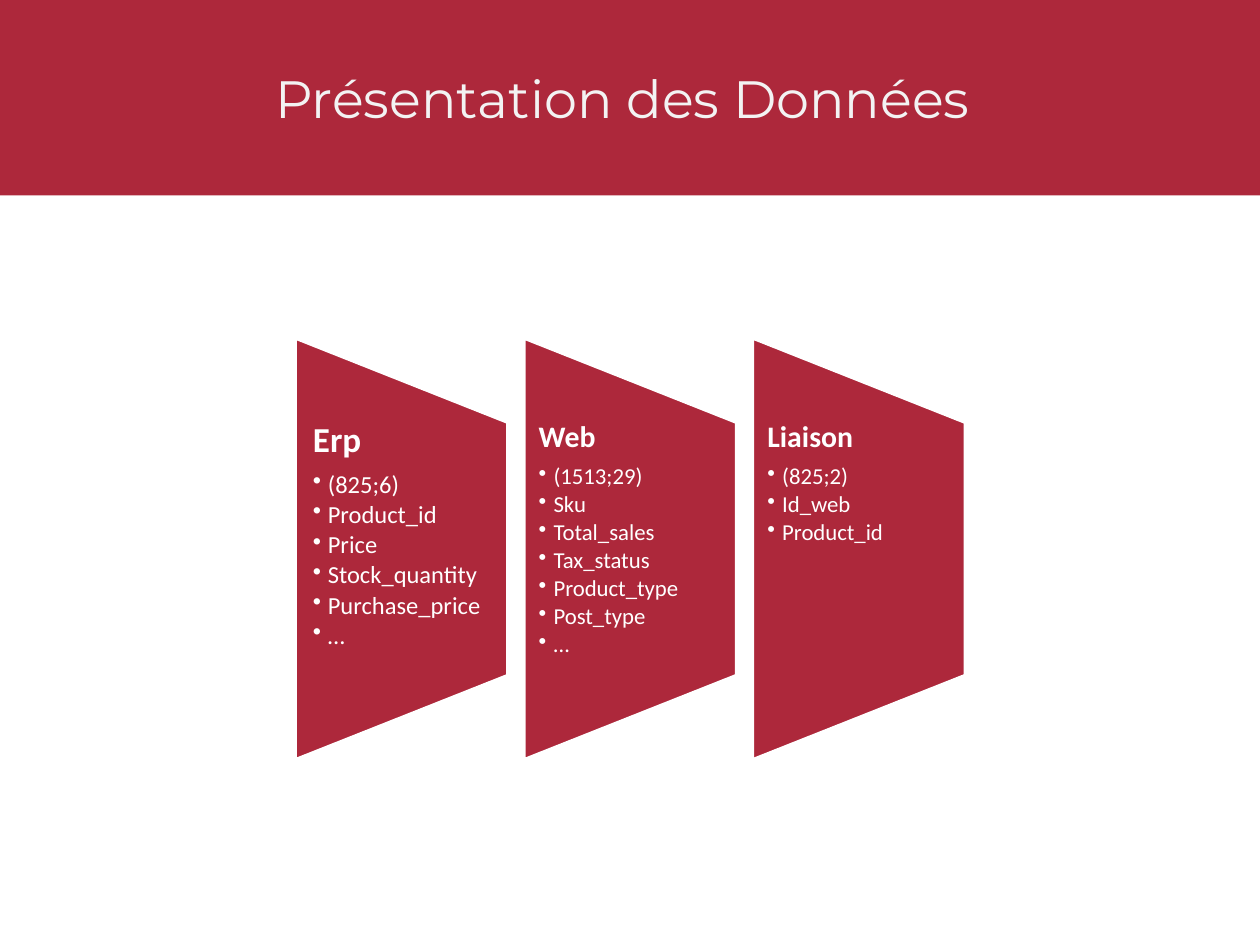
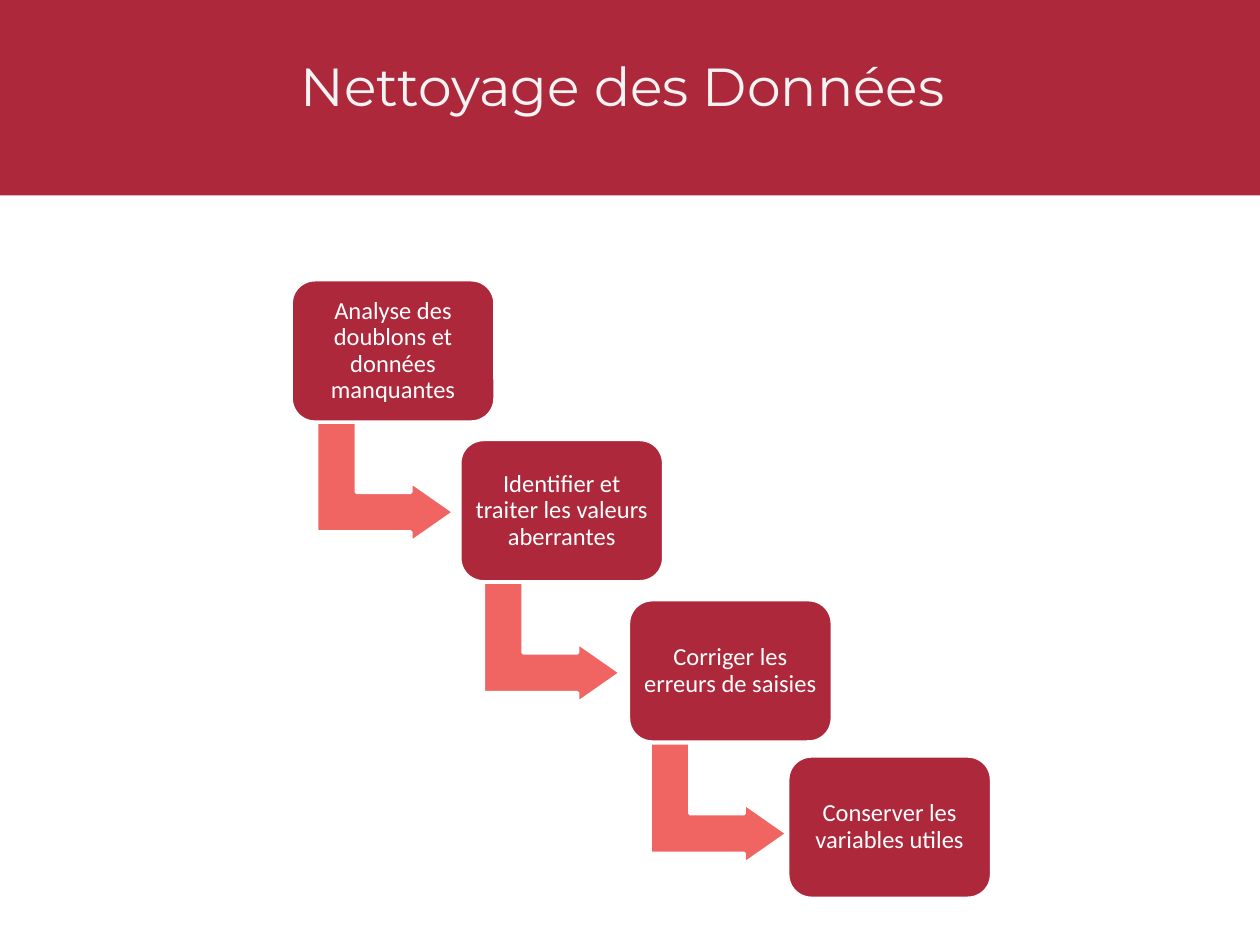
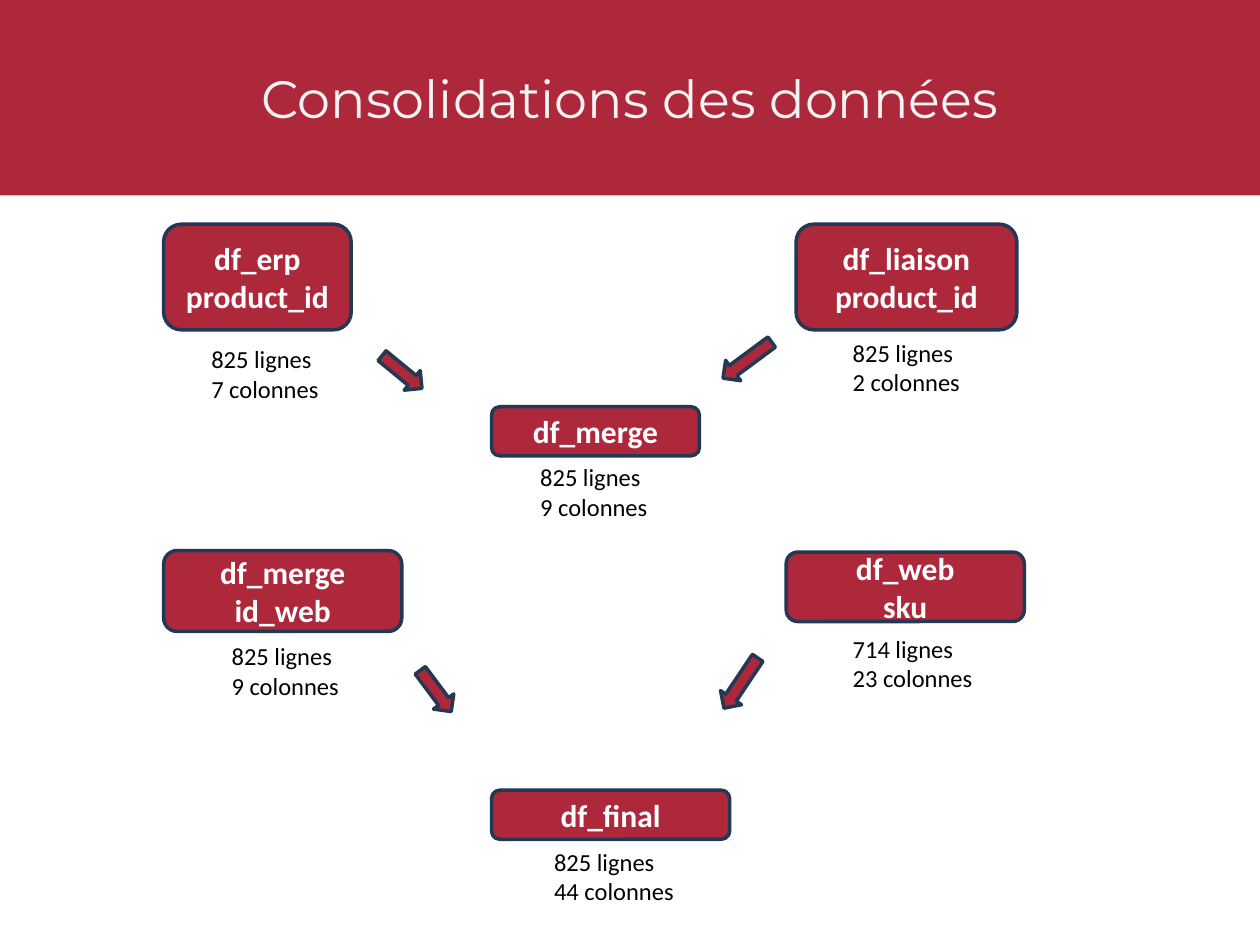
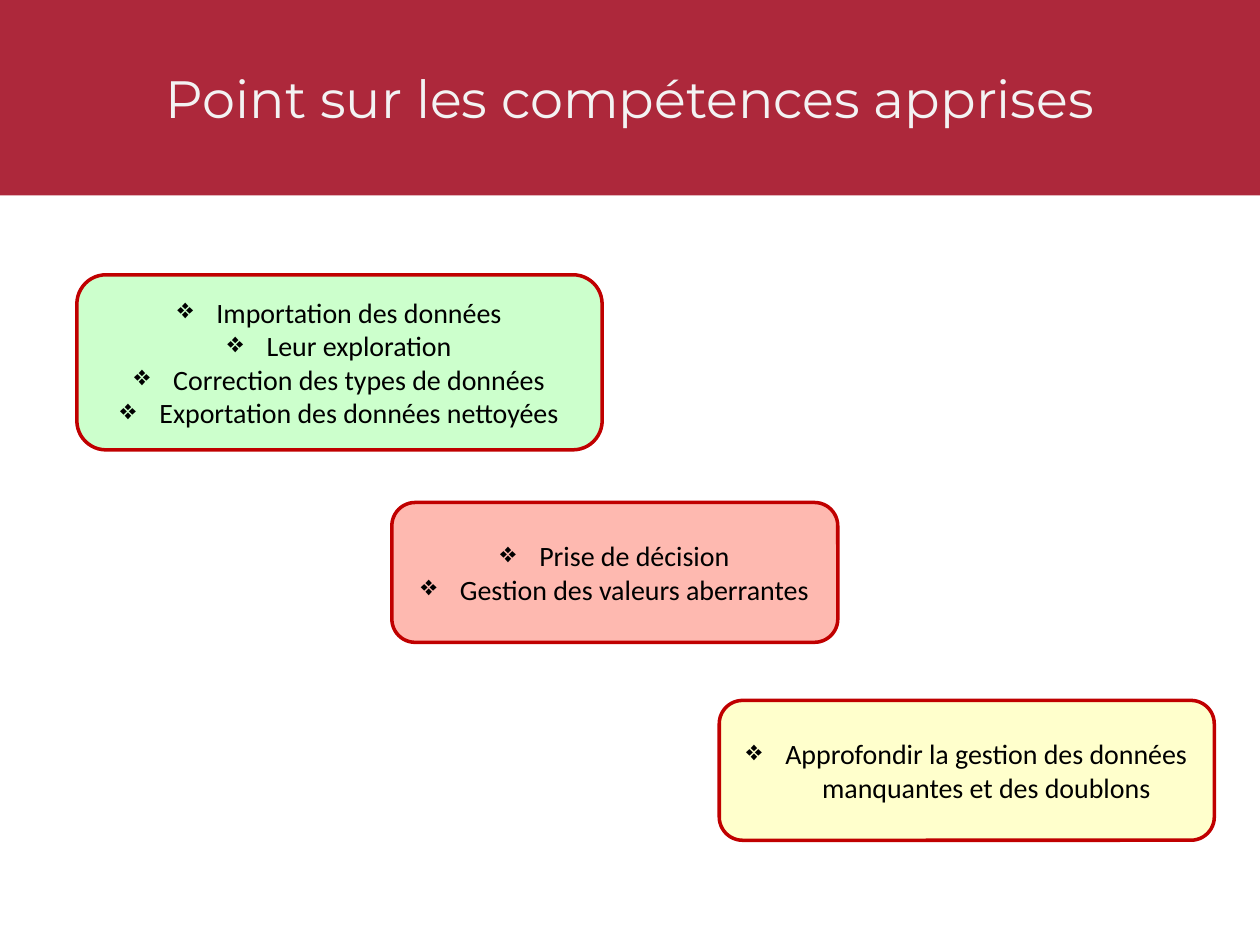
from lxml import etree
from pptx import Presentation
from pptx.dml.color import RGBColor
from pptx.enum.shapes import MSO_SHAPE
from pptx.enum.text import MSO_ANCHOR, PP_ALIGN
from pptx.oxml.ns import qn
from pptx.util import Cm, Pt

RECTANGLE = MSO_SHAPE.RECTANGLE
ROUNDED = MSO_SHAPE.ROUNDED_RECTANGLE
TRAPEZOID = MSO_SHAPE.FLOWCHART_MANUAL_OPERATION
BENT_ARROW = MSO_SHAPE.BENT_UP_ARROW
DOWN_ARROW = MSO_SHAPE.DOWN_ARROW
MIDDLE, TOP = MSO_ANCHOR.MIDDLE, MSO_ANCHOR.TOP
CENTER, LEFT = PP_ALIGN.CENTER, PP_ALIGN.LEFT

COLORS = {
    "crimson": "AD283B",
    "coral": "F06561",
    "navy": "233953",
    "red": "C00000",
    "green": "CCFFCC",
    "pink": "FEB9B0",
    "yellow": "FFFFCC",
    "white": "FFFFFF",
    "title": "F3F3F3",
    "black": "000000",
}
SLIDE_WIDTH, SLIDE_HEIGHT = 25.4, 19.05
BAND_HEIGHT = 3.94


def add_panel(slide, kind, box, fill, line=None, rotation=0):
    """Add a flat preset shape; box is left, top, width, height in cm."""
    panel = slide.shapes.add_shape(kind, *[Cm(length) for length in box])
    panel.shadow.inherit = False
    panel.rotation = rotation
    panel.fill.solid()
    panel.fill.fore_color.rgb = RGBColor.from_string(COLORS[fill])
    if line:
        panel.line.color.rgb = RGBColor.from_string(COLORS[line])
        panel.line.width = Pt(2)
    else:
        panel.line.fill.background()
    return panel


def write(shape, lines, size, color, font="Calibri", align=CENTER, anchor=MIDDLE,
          insets=(0.25, 0.13, 0.25, 0.13), bold=False, bullet=None, indent=0):
    """Fill a shape with one paragraph per line; insets are left, top, right, bottom in cm."""
    frame = shape.text_frame
    frame.text = "\n".join(lines)
    frame.word_wrap = True
    frame.vertical_anchor = anchor
    (frame.margin_left, frame.margin_top,
     frame.margin_right, frame.margin_bottom) = [Cm(inset) for inset in insets]
    for paragraph in frame.paragraphs:
        paragraph.alignment = align
        if bullet:
            properties = paragraph._p.get_or_add_pPr()
            properties.set("marL", str(Cm(indent)))
            properties.set("indent", str(-Cm(indent)))
            etree.SubElement(properties, qn("a:buChar")).set("char", bullet)
        for run in paragraph.runs:
            run.font.name = font
            run.font.size = Pt(size)
            run.font.bold = bold
            run.font.color.rgb = RGBColor.from_string(COLORS[color])
    return frame.paragraphs


prs = Presentation()
prs.slide_width = Cm(SLIDE_WIDTH)
prs.slide_height = Cm(SLIDE_HEIGHT)

# Title bands: text, size, right inset, bottom inset
titles = [
    ("Présentation des Données", 30, 0.55, 0.13),
    ("Nettoyage des Données", 30.6, 0.55, 0.63),
    ("Consolidations des données", 30, 0.25, 0.13),
    ("Point sur les compétences apprises", 30, 0.25, 0.13),
]
slides = []
for title, size, right, bottom in titles:
    slide = prs.slides.add_slide(prs.slide_layouts[6])
    band = add_panel(slide, RECTANGLE, (0, 0, SLIDE_WIDTH, BAND_HEIGHT), "crimson")
    write(band, [title], size, "title", font="Montserrat",
          insets=(0.25, 0.13, right, bottom))
    slides.append(slide)
data_slide, cleaning_slide, merging_slide, skills_slide = slides

# Data sets: heading, columns, heading size, column size, side inset
datasets = [
    ("Erp", ["(825;6)", "Product_id", "Price", "Stock_quantity", "Purchase_price", "…"],
     20, 14, 0.36),
    ("Web", ["(1513;29)", "Sku", "Total_sales", "Tax_status", "Product_type",
             "Post_type", "…"], 17, 13, 0.3),
    ("Liaison", ["(825;2)", "Id_web", "Product_id"], 17, 13, 0.3),
]
dataset_length, dataset_width = 8.51, 4.29
dataset_pitch = 4.61
turn_offset = (dataset_length - dataset_width) / 2
for index, (heading, columns, heading_size, column_size, inset) in enumerate(datasets):
    left, top = 3.84 + index * dataset_pitch, 8.92
    add_panel(data_slide, TRAPEZOID, (left, top, dataset_length, dataset_width),
              "crimson", "white", rotation=270)
    content = data_slide.shapes.add_textbox(
        Cm(left + turn_offset), Cm(top - turn_offset + dataset_length / 5),
        Cm(dataset_width), Cm(dataset_length * 0.6))
    paragraphs = write(content, [heading] + columns, column_size, "white", align=LEFT,
                       anchor=TOP, insets=(inset, 0, inset, 0), bullet="•", indent=0.3)
    for paragraph in paragraphs:
        paragraph.line_spacing = 0.9
        paragraph.space_after = Pt(column_size * 0.15)
    head = paragraphs[0]
    head.space_after = Pt(heading_size * 0.35)
    head.runs[0].font.size = Pt(heading_size)
    head.runs[0].font.bold = True
    head_properties = head._p.pPr
    head_properties.remove(head_properties.find(qn("a:buChar")))
    head_properties.set("marL", "0")
    head_properties.set("indent", "0")

# Cleaning steps, going down like stairs
for index in range(3):
    arrow = add_panel(cleaning_slide, BENT_ARROW,
                      (6.55 + index * 3.36, 8.33 + index * 3.24, 2.44, 2.77),
                      "coral", "white", rotation=90)
    for position, ratio in enumerate((0.328, 0.25, 0.358)):
        arrow.adjustments[position] = ratio
steps = [
    ("Analyse des doublons et données manquantes", 5.87, 5.64),
    ("Identifier et traiter les valeurs aberrantes", 9.27, 8.86),
    ("Corriger les erreurs de saisies", 12.67, 12.09),
    ("Conserver les variables utiles", 15.88, 15.24),
]
for label, left, top in steps:
    step = add_panel(cleaning_slide, ROUNDED, (left, top, 4.11, 2.87), "crimson", "white")
    write(step, [label], 14, "white", insets=(0.15,) * 4)[0].line_spacing = 0.9

# Merged frames: lines, box, size of the data, left and top of that size
frames = [
    (["df_erp", "product_id"], (3.3, 4.52, 3.78, 2.13),
     ["825 lignes", "7 colonnes"], 4.01, 6.81),
    (["df_liaison", "product_id"], (16.05, 4.52, 4.45, 2.13),
     ["825 lignes", "2 colonnes"], 16.94, 6.68),
    (["df_merge"], (9.91, 8.2, 4.19, 0.99),
     ["825 lignes", "9 colonnes"], 10.64, 9.19),
    (["df_merge", "id_web"], (3.3, 11.1, 4.8, 1.63),
     ["825 lignes", "9 colonnes"], 4.42, 12.8),
    (["df_web", "sku"], (15.85, 11.13, 4.8, 1.4),
     ["714 lignes", "23 colonnes"], 16.94, 12.65),
    (["df_final"], (9.91, 15.93, 4.8, 0.99),
     ["825 lignes", "44 colonnes"], 10.92, 16.94),
]
for names, box, counts, left, top in frames:
    frame_box = add_panel(merging_slide, ROUNDED, box, "crimson", "navy")
    write(frame_box, names, 18, "white", bold=True, insets=(0.25, 0, 0.25, 0))
    dimensions = merging_slide.shapes.add_textbox(Cm(left), Cm(top), Cm(3.7), Cm(1.45))
    write(dimensions, counts, 14, "black", align=LEFT, anchor=TOP)

merge_arrows = [
    (7.85, 6.98, 1.04, 309.3),
    (14.81, 6.65, 1.22, 53.5),
    (8.53, 13.41, 1.04, 323.2),
    (14.68, 13.16, 1.22, 33.8),
]
for left, top, length, rotation in merge_arrows:
    add_panel(merging_slide, DOWN_ARROW, (left, top, 0.51, length),
              "crimson", "navy", rotation)

# Skills, from mastered to improvable
skills = [
    (["Importation des données", "Leur exploration", "Correction des types de données",
      "Exportation des données nettoyées"], (1.55, 5.54, 10.59, 3.53), "green"),
    (["Prise de décision", "Gestion des valeurs aberrantes"],
     (7.9, 10.13, 8.99, 2.82), "pink"),
    (["Approfondir la gestion des données manquantes et des doublons"],
     (14.5, 14.12, 9.98, 2.82), "yellow"),
]
for lines, box, fill in skills:
    skill = add_panel(skills_slide, ROUNDED, box, fill, "red")
    write(skill, lines, 16, "black", bullet="❖", indent=0.79)

prs.save("out.pptx")
